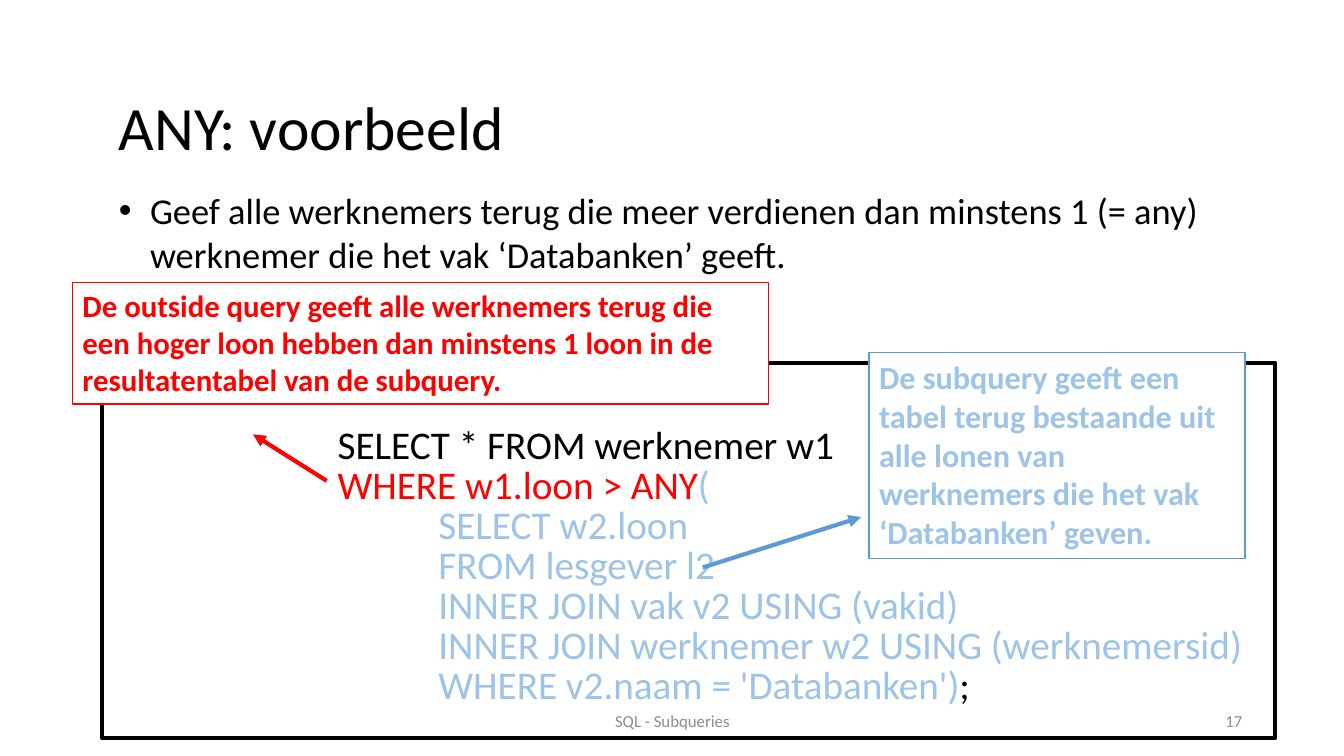
from lxml import etree
from pptx import Presentation
from pptx.dml.color import RGBColor
from pptx.enum import shapes, text
from pptx.oxml.ns import qn
from pptx.util import Inches, Pt

THEME = {
    "font": "Calibri",
    "black": "000000", "white": "FFFFFF", "red": "FF0000",
    "blue": "5B9BD5", "pale": "9DC3E6", "grey": "8C8C8C",
    "title": 44, "code": 28, "task": 26, "outer": 22, "inner": 23, "footer": 12,
    "thick": 3, "thin": 1,
}

TITLE = "ANY: voorbeeld"
TASK = ("Geef alle werknemers terug die meer verdienen dan minstens 1 (= any) "
        "werknemer die het vak ‘Databanken’ geeft.")
# Each query line: indent level, then (words, colour) pairs
QUERY = [
    (0, [("SELECT * FROM werknemer w1", "black")]),
    (0, [("WHERE w1.loon > ANY", "red"), ("(", "pale")]),
    (1, [("SELECT w2.loon", "pale")]),
    (1, [("FROM lesgever l2", "pale")]),
    (1, [("INNER JOIN vak v2 USING (vakid)", "pale")]),
    (1, [("INNER JOIN werknemer w2 USING (werknemersid)", "pale")]),
    (1, [("WHERE v2.naam = 'Databanken')", "pale"), (";", "black")]),
]
# Callouts: words, place, text colour, line colour, size, arrow start and end
CALLOUTS = [
    ("De outside query geeft alle werknemers terug die een hoger loon hebben "
     "dan minstens 1 loon in de resultatentabel van de subquery.",
     (0.72, 2.8, 6.9, 1.21), "red", "red", "outer", (3.24, 4.77, 2.51, 4.31)),
    ("De subquery geeft een tabel terug bestaande uit alle lonen van "
     "werknemers die het vak ‘Databanken’ geven.",
     (8.62, 3.5, 3.73, 2.04), "pale", "blue", "inner", (6.97, 5.63, 8.54, 5.13)),
]
FOOTERS = [
    ("SQL - Subqueries", (4.42, 6.95, 4.5, 0.4), text.PP_ALIGN.CENTER),
    ("17", (9.42, 6.95, 3, 0.4), text.PP_ALIGN.RIGHT),
]
QUERY_INDENT, QUERY_STEP = 2.4, 1
BULLET_INDENT = 0.31


def colour(name):
    return RGBColor.from_string(THEME[name])


def add_words(paragraph, words, size, ink, bold=False):
    run = paragraph.add_run()
    run.text = words
    formats = {"name": THEME["font"], "size": Pt(THEME[size]), "bold": bold}
    for key, value in formats.items():
        setattr(run.font, key, value)
    run.font.color.rgb = colour(ink)


def add_textbox(slide, place, anchor=text.MSO_ANCHOR.TOP):
    frame = slide.shapes.add_textbox(*map(Inches, place)).text_frame
    frame.word_wrap = True
    frame.vertical_anchor = anchor
    return frame


def add_panel(slide, place, edge, weight):
    panel = slide.shapes.add_shape(shapes.MSO_SHAPE.RECTANGLE, *map(Inches, place))
    panel.shadow.inherit = False
    panel.fill.solid()
    panel.fill.fore_color.rgb = colour("white")
    panel.line.color.rgb = colour(edge)
    panel.line.width = Pt(THEME[weight])
    return panel


def add_arrow(slide, ends, ink):
    arrow = slide.shapes.add_connector(shapes.MSO_CONNECTOR.STRAIGHT, *map(Inches, ends))
    arrow.line.color.rgb = colour(ink)
    arrow.line.width = Pt(THEME["thick"])
    etree.SubElement(arrow.line._get_or_add_ln(), qn("a:tailEnd"), type="triangle")
    etree.SubElement(arrow._element.spPr, qn("a:effectLst"))


def indent(paragraph, left, first=0):
    properties = paragraph._p.get_or_add_pPr()
    properties.set("marL", str(Inches(left)))
    properties.set("indent", str(Inches(first)))
    return properties


def add_query(slide):
    frame = add_textbox(slide, (0.85, 4.25, 12.4, 2.9))
    for number, (level, parts) in enumerate(QUERY):
        line = frame.add_paragraph() if number else frame.paragraphs[0]
        indent(line, QUERY_INDENT + level * QUERY_STEP)
        line.line_spacing = 0.7
        line.space_before = Pt(5 if number else 0)
        for words, ink in parts:
            add_words(line, words, "code", ink)


def add_task(slide):
    task = add_textbox(slide, (1.08, 1.82, 11.89, 0.98)).paragraphs[0]
    properties = indent(task, BULLET_INDENT, -BULLET_INDENT)
    etree.SubElement(properties, qn("a:buFont"), typeface="Arial")
    etree.SubElement(properties, qn("a:buChar"), char="•")
    add_words(task, TASK, "task", "black")


def main():
    deck = Presentation()
    deck.slide_width, deck.slide_height = Inches(13.33), Inches(7.5)
    slide = deck.slides.add_slide(deck.slide_layouts[6])

    add_panel(slide, (1.01, 3.6, 11.64, 3.72), "black", "thick")
    title = add_textbox(slide, (1.08, 0.57, 11.5, 1.45), text.MSO_ANCHOR.MIDDLE).paragraphs[0]
    title.line_spacing = 0.9
    add_words(title, TITLE, "title", "black")
    add_query(slide)
    add_task(slide)

    for words, place, ink, edge, size, ends in CALLOUTS:
        frame = add_panel(slide, place, edge, "thin").text_frame
        frame.word_wrap = True
        frame.vertical_anchor = text.MSO_ANCHOR.TOP
        frame.paragraphs[0].alignment = text.PP_ALIGN.LEFT
        add_words(frame.paragraphs[0], words, size, ink, bold=True)
        add_arrow(slide, ends, edge)

    for words, place, alignment in FOOTERS:
        footer = add_textbox(slide, place, text.MSO_ANCHOR.MIDDLE).paragraphs[0]
        footer.alignment = alignment
        add_words(footer, words, "footer", "grey")

    deck.save("out.pptx")


if __name__ == "__main__":
    main()
